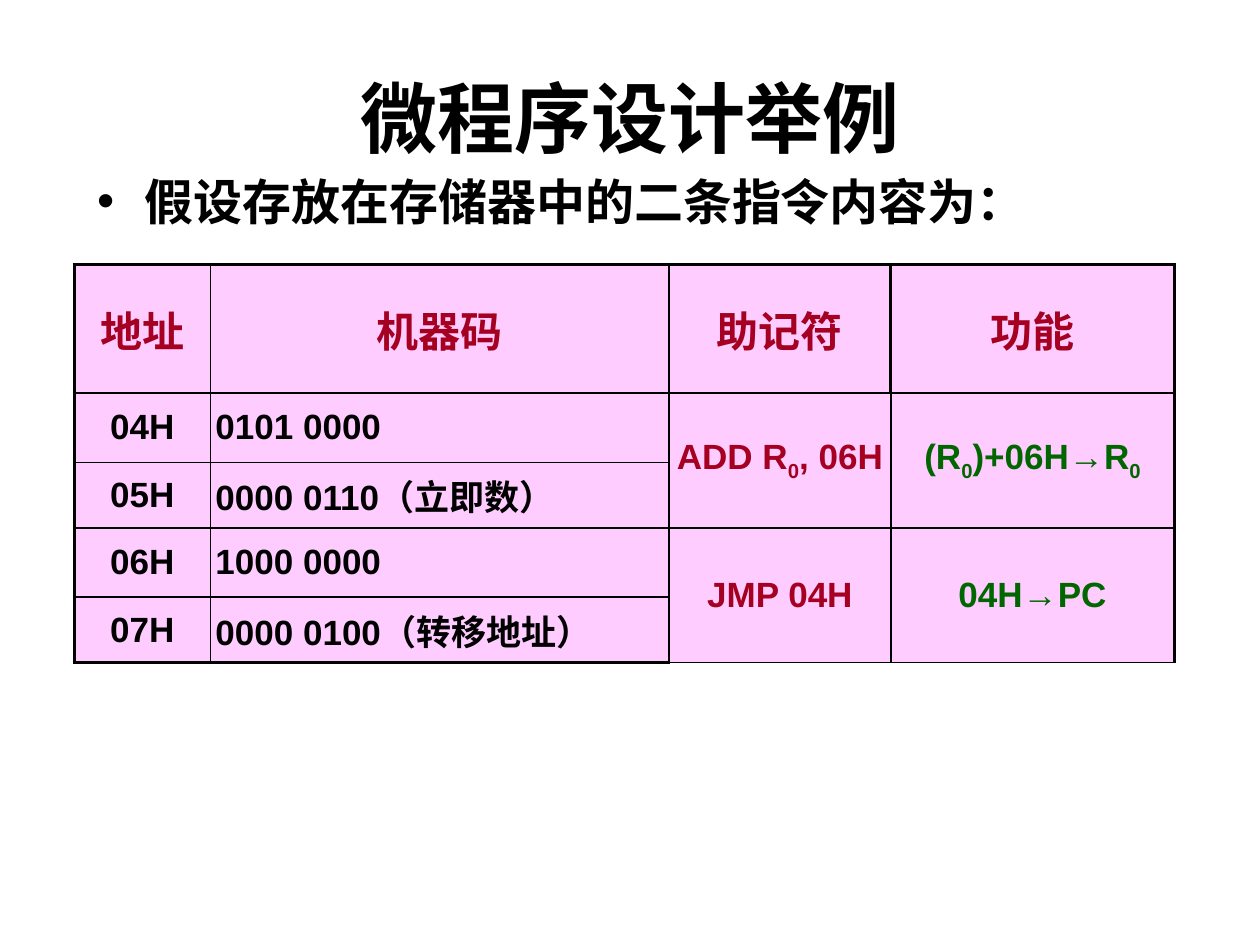
from dataclasses import dataclass

from lxml.etree import SubElement
from pptx import Presentation
from pptx.dml.color import RGBColor
from pptx.enum.text import MSO_ANCHOR, MSO_AUTO_SIZE, PP_ALIGN
from pptx.oxml.ns import qn
from pptx.util import Inches, Pt


@dataclass(frozen=True)
class Theme:
    face: str = "Arial"
    black: str = "000000"
    red: str = "A50021"
    green: str = "006600"
    pink: str = "FFCCFF"
    title: int = 44
    body: int = 28
    head: int = 24
    cell: int = 20
    thin: float = 1
    thick: float = 2.25


THEME = Theme()

WIDTHS = (1.08, 3.64, 1.76, 2.25)
HEIGHTS = (1.02, 0.55, 0.52, 0.55, 0.52)
HEADS = ("地址", "机器码", "助记符", "功能")
CODES = (
    ("04H", "0101 0000"),
    ("05H", "0000 0110（立即数）"),
    ("06H", "1000 0000"),
    ("07H", "0000 0100（转移地址）"),
)
# Text between underscores is set as a subscript
ORDERS = (
    ("ADD R_0_, 06H", "(R_0_)+06H→R_0_"),
    ("JMP 04H", "04H→PC"),
)


def style(para, size, color, align):
    para.alignment = align
    para.space_before = Pt(0)
    font = para.font
    font.name, font.size, font.bold = THEME.face, Pt(size), True
    font.color.rgb = RGBColor.from_string(color)


def place(shape, left, top, width, height):
    shape.left, shape.top = Inches(left), Inches(top)
    shape.width, shape.height = Inches(width), Inches(height)
    shape.text_frame.auto_size = MSO_AUTO_SIZE.NONE


def add_title(slide, text):
    shape = slide.shapes.title
    place(shape, 0.5, 0.3, 9, 1.25)
    frame = shape.text_frame
    frame.text = text
    frame.vertical_anchor = MSO_ANCHOR.MIDDLE
    style(frame.paragraphs[0], THEME.title, THEME.black, PP_ALIGN.CENTER)


def add_list(slide, text):
    shape = slide.placeholders[1]
    place(shape, 0.67, 1.31, 8.66, 0.79)
    shape.text_frame.text = text
    para = shape.text_frame.paragraphs[0]
    props = para._p.get_or_add_pPr()
    props.set("marL", str(Inches(0.38)))
    props.set("indent", str(-Inches(0.38)))
    SubElement(props, qn("a:buChar"), char="•")
    style(para, THEME.body, THEME.black, PP_ALIGN.LEFT)


def add_edges(cell, row, col):
    """Draw a thick frame, thin inner rules and one thick header rule."""
    last = len(WIDTHS) - 1
    thick = {
        "lnL": col == 0 or (row == 0 and col == last),
        "lnR": col == last or (row == 0 and col == last - 1),
        "lnT": row == 0,
        "lnB": row == len(HEIGHTS) - 1,
    }
    props = cell._tc.get_or_add_tcPr()
    for tag, heavy in thick.items():
        width = Pt(THEME.thick if heavy else THEME.thin)
        line = SubElement(props, qn(f"a:{tag}"), w=str(width))
        fill = SubElement(line, qn("a:solidFill"))
        SubElement(fill, qn("a:srgbClr"), val=THEME.black)


def fill_cell(cell, text, size, color, align=PP_ALIGN.CENTER):
    para = cell.text_frame.paragraphs[0]
    style(para, size, color, align)
    for index, part in enumerate(text.split("_")):
        if part:
            run = para.add_run()
            run.text = part
            if index % 2:
                run._r.get_or_add_rPr().set("baseline", "-25000")


def add_grid(slide):
    frame = slide.shapes.add_table(
        len(HEIGHTS), len(WIDTHS), Inches(0.59), Inches(2.1),
        Inches(sum(WIDTHS)), Inches(sum(HEIGHTS)))
    table = frame.table
    for column, width in zip(table.columns, WIDTHS):
        column.width = Inches(width)
    for line, height in zip(table.rows, HEIGHTS):
        line.height = Inches(height)

    # Borders, fill and margins
    for row in range(len(HEIGHTS)):
        for col in range(len(WIDTHS)):
            cell = table.cell(row, col)
            add_edges(cell, row, col)
            cell.fill.solid()
            cell.fill.fore_color.rgb = RGBColor.from_string(THEME.pink)
            cell.vertical_anchor = MSO_ANCHOR.MIDDLE
            cell.margin_left = cell.margin_right = Inches(0.04)
            cell.margin_top = cell.margin_bottom = Inches(0.04)

    # Header, then one row for each memory word
    for col, text in enumerate(HEADS):
        fill_cell(table.cell(0, col), text, THEME.head, THEME.red)
    for row, (place_no, code) in enumerate(CODES, 1):
        fill_cell(table.cell(row, 0), place_no, THEME.cell, THEME.black)
        fill_cell(table.cell(row, 1), code, THEME.cell, THEME.black,
                  PP_ALIGN.LEFT)

    # Each instruction spans two words
    for index, texts in enumerate(ORDERS):
        row = 1 + 2 * index
        for col, text, color in zip((2, 3), texts, (THEME.red, THEME.green)):
            cell = table.cell(row, col)
            cell.merge(table.cell(row + 1, col))
            fill_cell(cell, text, THEME.cell, color)


def main():
    deck = Presentation()
    deck.slide_width, deck.slide_height = Inches(10), Inches(7.5)
    slide = deck.slides.add_slide(deck.slide_layouts[1])
    add_title(slide, "微程序设计举例")
    add_list(slide, "假设存放在存储器中的二条指令内容为：")
    add_grid(slide)
    deck.save("out.pptx")


if __name__ == "__main__":
    main()
